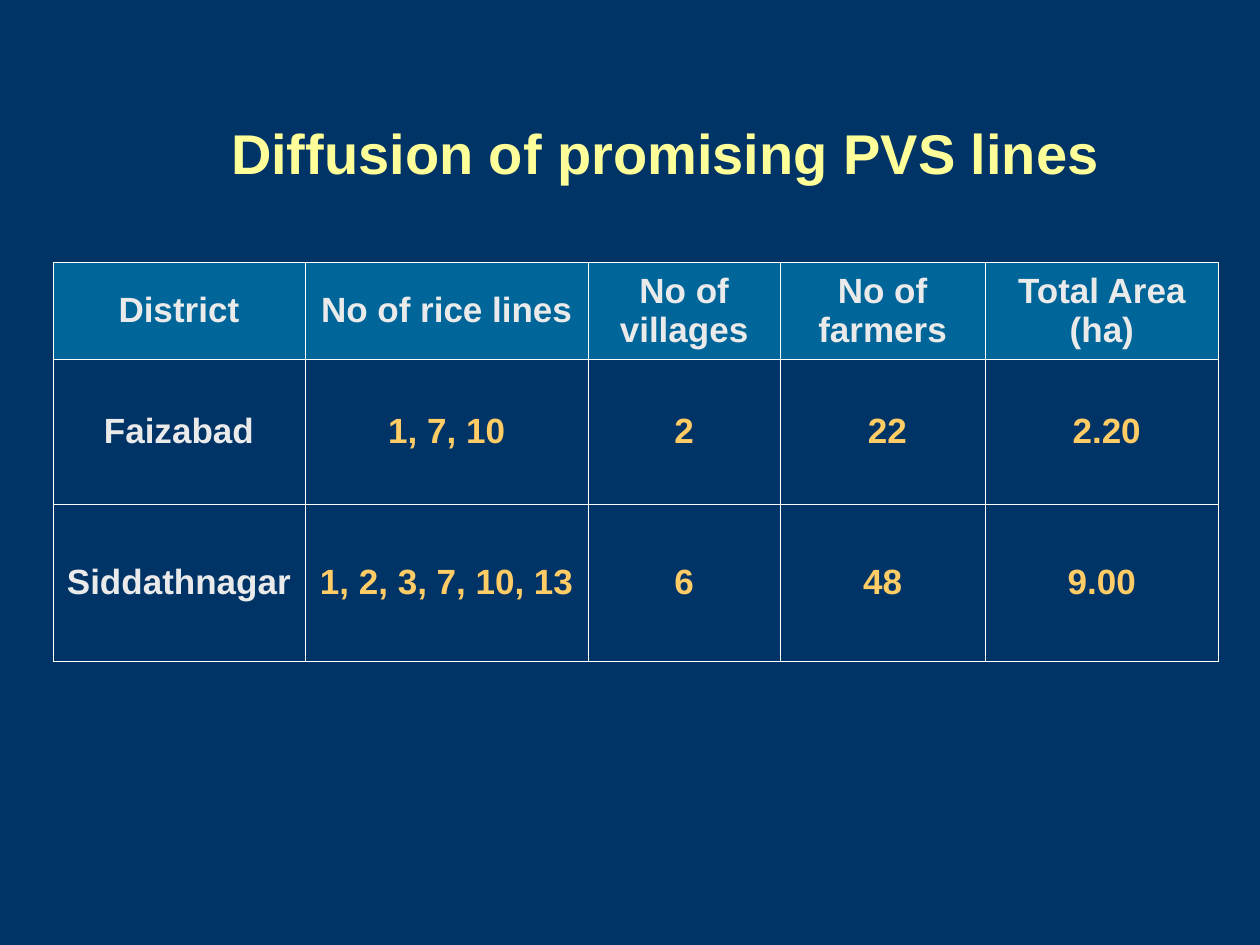
from dataclasses import dataclass

from lxml import etree
from pptx import Presentation
from pptx.dml.color import RGBColor
from pptx.enum.text import MSO_ANCHOR, PP_ALIGN
from pptx.oxml.ns import qn
from pptx.util import Inches, Pt

MIDDLE = MSO_ANCHOR.MIDDLE
CENTER, RIGHT = PP_ALIGN.CENTER, PP_ALIGN.RIGHT
FONT = "Arial"
COLORS = {
    "back": "003366",
    "title": "FFFF99",
    "head": "006699",
    "label": "EAEAEA",
    "value": "FFCC66",
    "rule": "FFFFFF",
}
WIDTHS = (2, 2.25, 1.52, 1.63, 1.85)


@dataclass
class Row:
    height: float
    texts: tuple[str, ...]
    head: bool = False


ROWS = (
    Row(0.77, ("District", "No of rice lines", "No of villages",
               "No of farmers", "Total Area (ha)"), head=True),
    Row(1.15, ("Faizabad", "1, 7, 10", "2", " 22", " 2.20")),
    Row(1.25, ("Siddathnagar", "1, 2, 3, 7, 10, 13", "6", "48", "9.00")),
)


def color(name: str) -> RGBColor:
    return RGBColor.from_string(COLORS[name])


def write(frame, text: str, size: int, tint: str, align, before: int = 0) -> None:
    para = frame.paragraphs[0]
    para.alignment = align
    para.space_before = Pt(before)
    run = para.add_run()
    run.text = text
    style = {"name": FONT, "size": Pt(size), "bold": True}
    for key, value in style.items():
        setattr(run.font, key, value)
    run.font.color.rgb = color(tint)


def border(cell) -> None:
    """Rule all four sides; call before the fill, which must follow in the XML."""
    props = cell._tc.get_or_add_tcPr()
    for side in ("lnL", "lnR", "lnT", "lnB"):
        line = etree.SubElement(props, qn(f"a:{side}"), w=str(Pt(0.45)))
        fill = etree.SubElement(line, qn("a:solidFill"))
        etree.SubElement(fill, qn("a:srgbClr"), val=COLORS["rule"])


def add_title(slide, text: str) -> None:
    box = slide.shapes.add_textbox(
        Inches(0.33), Inches(0.58), Inches(8.5), Inches(1.25))
    frame = box.text_frame
    frame.word_wrap = True
    frame.vertical_anchor = MIDDLE
    write(frame, text, 32, "title", RIGHT)


def fill_cell(cell, text: str, head: bool, label: bool) -> None:
    cell.vertical_anchor = MIDDLE
    border(cell)
    if head:
        cell.fill.solid()
        cell.fill.fore_color.rgb = color("head")
    else:
        cell.fill.background()
    write(cell.text_frame, text, 20, "label" if label else "value", CENTER, 5)


def add_grid(slide) -> None:
    high = sum(row.height for row in ROWS)
    table = slide.shapes.add_table(
        len(ROWS), len(WIDTHS), Inches(0.42), Inches(2.08),
        Inches(sum(WIDTHS)), Inches(high)).table
    table.horz_banding = False
    for col, width in zip(table.columns, WIDTHS):
        col.width = Inches(width)
    for r, row in enumerate(ROWS):
        table.rows[r].height = Inches(row.height)
        for c, text in enumerate(row.texts):
            fill_cell(table.cell(r, c), text, row.head, row.head or c == 0)


def main() -> None:
    deck = Presentation()
    deck.slide_width, deck.slide_height = Inches(10), Inches(7.5)
    slide = deck.slides.add_slide(deck.slide_layouts[6])
    back = slide.background.fill
    back.solid()
    back.fore_color.rgb = color("back")
    add_title(slide, "Diffusion of promising PVS lines")
    add_grid(slide)
    deck.save("out.pptx")


if __name__ == "__main__":
    main()
